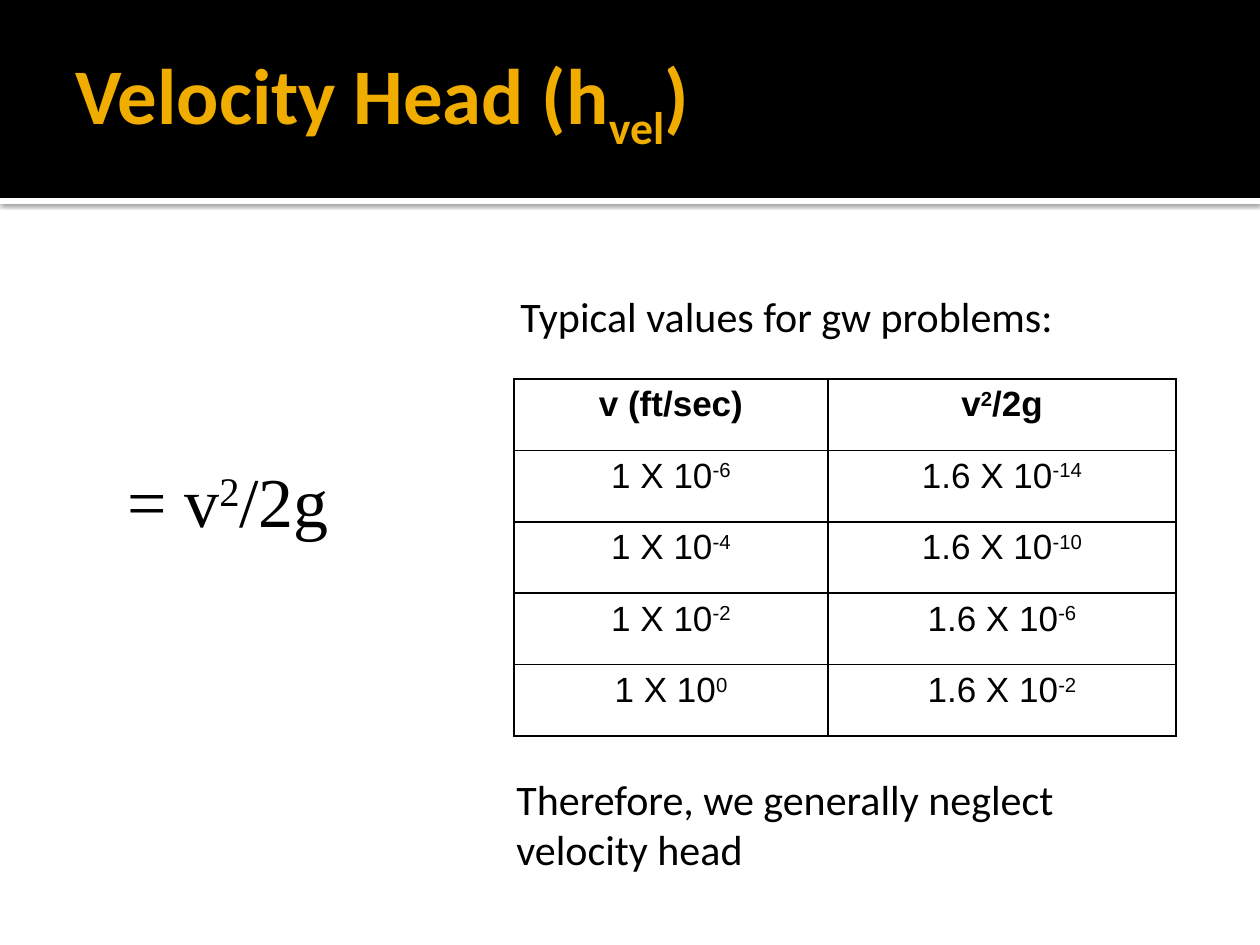
"""Build the velocity head slide: title band, formula, value table and two remarks."""
from dataclasses import dataclass

from lxml.etree import SubElement
from pptx import Presentation
from pptx.dml.color import RGBColor
from pptx.enum.shapes import MSO_SHAPE as Shape
from pptx.enum.text import MSO_ANCHOR as Anchor, PP_ALIGN as Align
from pptx.oxml.ns import qn
from pptx.util import Pt

EMU_PER_PX = 914400 / 126
BLACK, WHITE, GOLD = "000000", "FFFFFF", "F0AD00"
SUPERSCRIPT, SUBSCRIPT = 30000, -25000
HANGING = 48


@dataclass
class Band:
    top: int
    height: int
    color: str
    shadow: bool = False


@dataclass
class Style:
    name: str
    size: int
    color: str = BLACK
    bold: bool = False
    baseline: int = SUPERSCRIPT


@dataclass
class Label:
    left: int
    top: int
    width: int
    height: int
    text: str
    style: Style
    wrap: bool = False
    anchor: Anchor = Anchor.TOP


BODY = Style("Calibri", 24)
HEADER = Style("Arial", 20, bold=True)
CELL = Style("Arial", 20)

BANDS = [Band(198, 6, WHITE, shadow=True), Band(0, 198, BLACK)]
LABELS = [
    Label(63, 21, 1071, 158, "Velocity Head (h^vel^)",
          Style("Calibri", 45, GOLD, True, SUBSCRIPT), True, Anchor.MIDDLE),
    Label(504, 767, 683, 116, "Therefore, we generally neglect velocity head", BODY, True),
    Label(508, 284, 573, 64, "Typical values for gw problems:", BODY),
    Label(115, 451, 232, 97, "= v^2^/2g", Style("Times New Roman", 40)),
]
EXPONENTS = [(-6, -14), (-4, -10), (-2, -6), (0, -2)]
ROWS = [("v (ft/sec)", "v^2^/2g")] + [
    (f"1 X 10^{speed}", f"1.6 X 10^{head}") for speed, head in EXPONENTS]
TABLE_BOX = (514, 379, 662, 357)
COLUMN_WIDTHS = (314, 348)


def px(length: float) -> int:
    """Turn pixels into EMU."""
    return round(length * EMU_PER_PX)


def rgb(color: str) -> RGBColor:
    """Turn a hex string into a colour."""
    return RGBColor.from_string(color)


def write(para, text: str, style: Style) -> None:
    """Write text whose parts between carets are raised or lowered."""
    for index, part in enumerate(text.split("^")):
        if not part:
            continue
        span = para.add_run()
        span.text = part
        formats = {"name": style.name, "size": Pt(style.size), "bold": style.bold}
        for key, value in formats.items():
            setattr(span.font, key, value)
        span.font.color.rgb = rgb(style.color)
        if index % 2:
            span.font._element.set("baseline", str(style.baseline))


def add_shadow(box) -> None:
    """Give a shape a soft shadow below it."""
    effects = box._element.spPr.find(qn("a:effectLst"))
    outer = SubElement(effects, qn("a:outerShdw"), blurRad=str(Pt(2.5)),
                       dist=str(Pt(0.8)), dir="5400000", algn="tl", rotWithShape="0")
    color = SubElement(outer, qn("a:srgbClr"), val=BLACK)
    SubElement(color, qn("a:alpha"), val="60000")


def add_band(page, band: Band, width: int) -> None:
    """Draw a plain band across the page."""
    box = page.shapes.add_shape(Shape.RECTANGLE, 0, px(band.top), width, px(band.height))
    box.shadow.inherit = False
    box.fill.solid()
    box.fill.fore_color.rgb = rgb(band.color)
    box.line.fill.background()
    if band.shadow:
        add_shadow(box)


def add_label(page, label: Label) -> None:
    """Draw one text box."""
    place = (label.left, label.top, label.width, label.height)
    frame = page.shapes.add_textbox(*map(px, place)).text_frame
    formats = {"word_wrap": label.wrap, "vertical_anchor": label.anchor}
    for key, value in formats.items():
        setattr(frame, key, value)
    write(frame.paragraphs[0], label.text, label.style)


def set_borders(cell) -> None:
    """Put a thin black line on each side of a cell."""
    properties = cell._tc.get_or_add_tcPr()
    for index, side in enumerate(("lnL", "lnR", "lnT", "lnB")):
        line = properties.makeelement(qn(f"a:{side}"), {"w": str(Pt(1))})
        fill = SubElement(line, qn("a:solidFill"))
        SubElement(fill, qn("a:srgbClr"), val=BLACK)
        properties.insert(index, line)


def add_value_table(page) -> None:
    """Draw the table of velocities and velocity heads."""
    frame = page.shapes.add_table(len(ROWS), len(COLUMN_WIDTHS), *map(px, TABLE_BOX))
    table = frame.table
    for column, width in zip(table.columns, COLUMN_WIDTHS):
        column.width = px(width)
    for row_index, texts in enumerate(ROWS):
        for column_index, text in enumerate(texts):
            cell = table.cell(row_index, column_index)
            cell.fill.background()
            set_borders(cell)
            para = cell.text_frame.paragraphs[0]
            para.alignment = Align.CENTER
            indents = {"marL": px(HANGING), "indent": -px(HANGING)}
            for key, value in indents.items():
                para._p.get_or_add_pPr().set(key, str(value))
            write(para, text, CELL if row_index else HEADER)


def main() -> None:
    """Build and save the deck."""
    deck = Presentation()
    deck.slide_width, deck.slide_height = px(1260), px(945)
    page = deck.slides.add_slide(deck.slide_layouts[6])
    for band in BANDS:
        add_band(page, band, deck.slide_width)
    add_value_table(page)
    for label in LABELS:
        add_label(page, label)
    deck.save("out.pptx")


if __name__ == "__main__":
    main()
